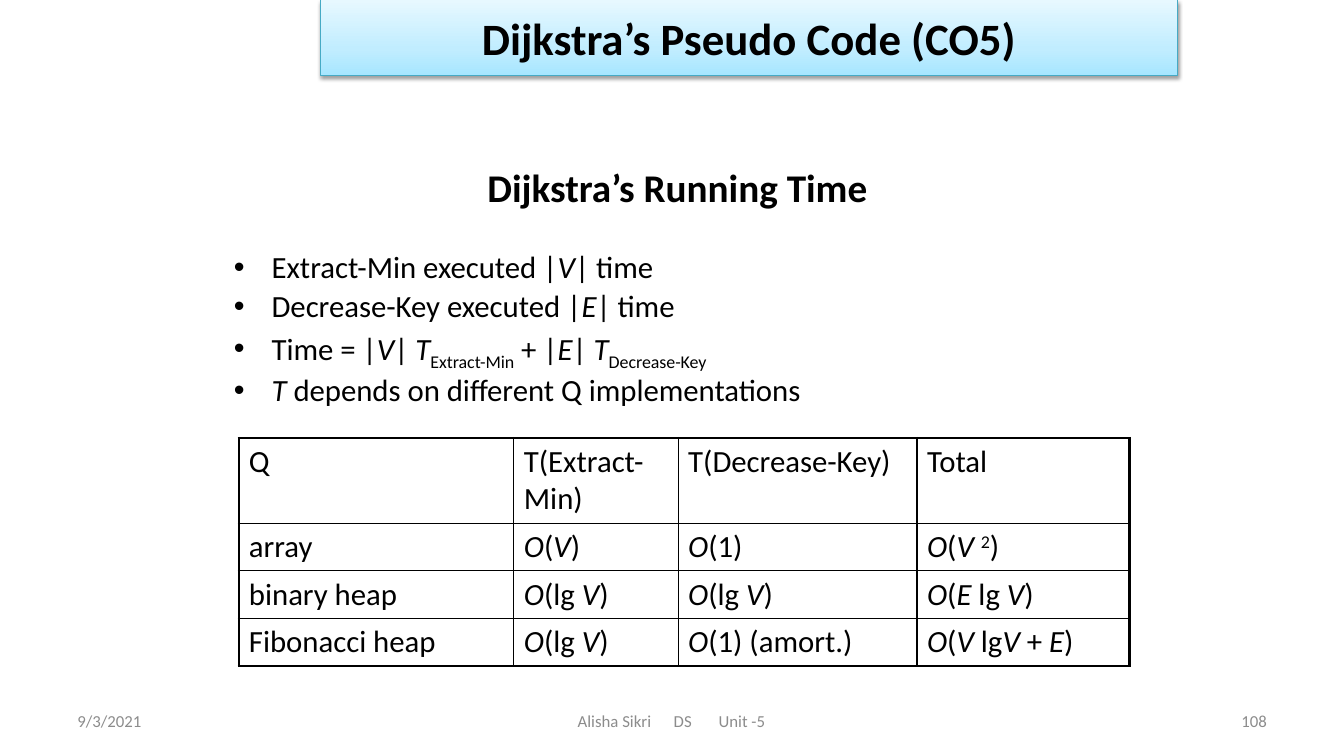
import pptx
import pptx.dml.color
import pptx.enum.shapes
import pptx.enum.text
import pptx.oxml
import pptx.oxml.ns
import pptx.util
from pptx.util import Cm, Pt

BLACK = pptx.dml.color.RGBColor(0x00, 0x00, 0x00)
GREY = pptx.dml.color.RGBColor(0x8C, 0x8C, 0x8C)
TEAL = pptx.dml.color.RGBColor(0x46, 0xAA, 0xC5)
BANNER_STOPS = [(0, "A7E6FF"), (35, "C1EDFF"), (100, "E7F8FF")]
NAMESPACE = pptx.oxml.ns.nsdecls("a")
ALIGN = pptx.enum.text.PP_ALIGN
MIDDLE = pptx.enum.text.MSO_ANCHOR.MIDDLE


def add_runs(para, markup, size, color=BLACK, bold=False, baseline=0):
    """Add runs: *text* is italic, ~text~ is shifted by baseline percent."""
    for i, part in enumerate(markup.split("*")):
        for j, piece in enumerate(part.split("~")):
            if not piece:
                continue
            span = para.add_run()
            span.text = piece
            span.font.name = "Calibri"
            span.font.size = Pt(size)
            span.font.color.rgb = color
            span.font.bold = bold
            span.font.italic = i % 2 == 1
            if j % 2:
                span.font._element.set("baseline", str(baseline * 1000))


def place(box, left, top, width, height):
    box.left, box.top, box.width, box.height = Cm(left), Cm(top), Cm(width), Cm(height)


deck = pptx.Presentation()
deck.slide_width, deck.slide_height = Cm(33.87), Cm(19.05)
page = deck.slides.add_slide(deck.slide_layouts[1])

# Title
title = page.shapes.title
place(title, 5.64, 3.12, 22.86, 3.17)
title.text_frame.vertical_anchor = MIDDLE
title_para = title.text_frame.paragraphs[0]
title_para.alignment = ALIGN.CENTER
add_runs(title_para, "Dijkstra’s Running Time", 28, bold=True)

# Bullets
bullets = [
    "Extract-Min executed |*V*| time",
    "Decrease-Key executed |*E*| time",
    "Time = |*V*| *T*~Extract-Min~ + |*E*| *T*~Decrease-Key~",
    "*T* depends on different Q implementations",
]
body = page.placeholders[1]
place(body, 5.64, 6.22, 23.22, 4.85)
body.text_frame.auto_size = pptx.enum.text.MSO_AUTO_SIZE.NONE
for index, bullet in enumerate(bullets):
    para = body.text_frame.paragraphs[0] if index == 0 else body.text_frame.add_paragraph()
    properties = para._p.get_or_add_pPr()
    properties.set("marL", str(Cm(0.95)))
    properties.set("indent", str(-Cm(0.95)))
    properties.append(pptx.oxml.parse_xml(f'<a:buFont {NAMESPACE} typeface="Arial"/>'))
    properties.append(pptx.oxml.parse_xml(f'<a:buChar {NAMESPACE} char="•"/>'))
    para.line_spacing = 0.9
    para.space_before = Pt(4.4 if index else 0)
    add_runs(para, bullet, 22, baseline=-25)

# Running times by queue implementation
running_times = [
    ["Q", "T(Extract-Min)", "T(Decrease-Key)", "Total"],
    ["array", "*O*(*V*)", "*O*(1)", "*O*(*V *~2~)"],
    ["binary heap", "*O*(lg* V*)", "*O*(lg *V*)", "*O*(*E* lg *V*)"],
    ["Fibonacci heap", "*O*(lg* V*)", "*O*(1) (amort.)", "*O*(*V* lg*V* + *E*)"],
]
column_widths = [6.93, 4.14, 6.02, 5.36]
row_heights = [2.13, 1.2, 1.2, 1.2]
last_row, last_column = len(row_heights) - 1, len(column_widths) - 1
table = page.shapes.add_table(
    len(row_heights), len(column_widths), Cm(6.02), Cm(11.04),
    Cm(sum(column_widths)), Cm(sum(row_heights))).table
table.first_row = table.horz_banding = False
for column, width in zip(table.columns, column_widths):
    column.width = Cm(width)
for row, height in zip(table.rows, row_heights):
    row.height = Cm(height)
for r, row_texts in enumerate(running_times):
    for c, markup in enumerate(row_texts):
        cell = table.cell(r, c)
        add_runs(cell.text_frame.paragraphs[0], markup, 22, baseline=30)
        cell.fill.background()
        outer_sides = [("L", c == 0), ("R", c == last_column), ("T", r == 0), ("B", r == last_row)]
        for position, (side, is_outer) in enumerate(outer_sides):
            weight = Pt(2.25 if is_outer else 1)
            cell._tc.get_or_add_tcPr().insert(position, pptx.oxml.parse_xml(
                f'<a:ln{side} {NAMESPACE} w="{weight}"><a:solidFill>'
                f'<a:srgbClr val="{BLACK}"/></a:solidFill></a:ln{side}>'))

# Banner
banner = page.shapes.add_shape(
    pptx.enum.shapes.MSO_SHAPE.RECTANGLE, Cm(8.08), Cm(0), Cm(21.59), Cm(1.9))
banner.line.color.rgb = TEAL
banner.line.width = Pt(0.75)
banner.shadow.inherit = False
stops = "".join(f'<a:gs pos="{position * 1000}"><a:srgbClr val="{color}"/></a:gs>'
                for position, color in BANNER_STOPS)
banner_properties = banner._element.spPr
banner_properties.find(pptx.oxml.ns.qn("a:prstGeom")).addnext(pptx.oxml.parse_xml(
    f'<a:gradFill {NAMESPACE} rotWithShape="1"><a:gsLst>{stops}</a:gsLst>'
    '<a:lin ang="16200000" scaled="0"/></a:gradFill>'))
banner_properties.find(pptx.oxml.ns.qn("a:effectLst")).append(pptx.oxml.parse_xml(
    f'<a:outerShdw {NAMESPACE} blurRad="{Pt(3.1)}" dist="{Pt(1.6)}" dir="5400000" '
    f'rotWithShape="0"><a:srgbClr val="{BLACK}"><a:alpha val="38000"/></a:srgbClr></a:outerShdw>'))
banner.text_frame.vertical_anchor = MIDDLE
banner_para = banner.text_frame.paragraphs[0]
banner_para.alignment = ALIGN.CENTER
add_runs(banner_para, "Dijkstra’s Pseudo Code (CO5)", 32, bold=True)

# Footer: text, left, width, left inset, alignment, tab stops
footers = [
    ("9/3/2021", 1.7, 7.9, 0.25, ALIGN.LEFT, []),
    ("108", 24.28, 7.9, 0.25, ALIGN.RIGHT, []),
    ("Alisha Sikri\tDS\tUnit -5", 11.58, 10.72, 2.98, ALIGN.LEFT, [2.42, 3.55]),
]
for text, left, width, inset, alignment, tab_stops in footers:
    box = page.shapes.add_textbox(Cm(left), Cm(17.65), Cm(width), Cm(1.02))
    box.text_frame.word_wrap = True
    box.text_frame.vertical_anchor = MIDDLE
    box.text_frame.margin_left = Cm(inset)
    para = box.text_frame.paragraphs[0]
    para.alignment = alignment
    if tab_stops:
        tabs = "".join(f'<a:tab pos="{Cm(stop)}" algn="l"/>' for stop in tab_stops)
        para._p.get_or_add_pPr().append(
            pptx.oxml.parse_xml(f'<a:tabLst {NAMESPACE}>{tabs}</a:tabLst>'))
    add_runs(para, text, 12, GREY)

deck.save("out.pptx")
